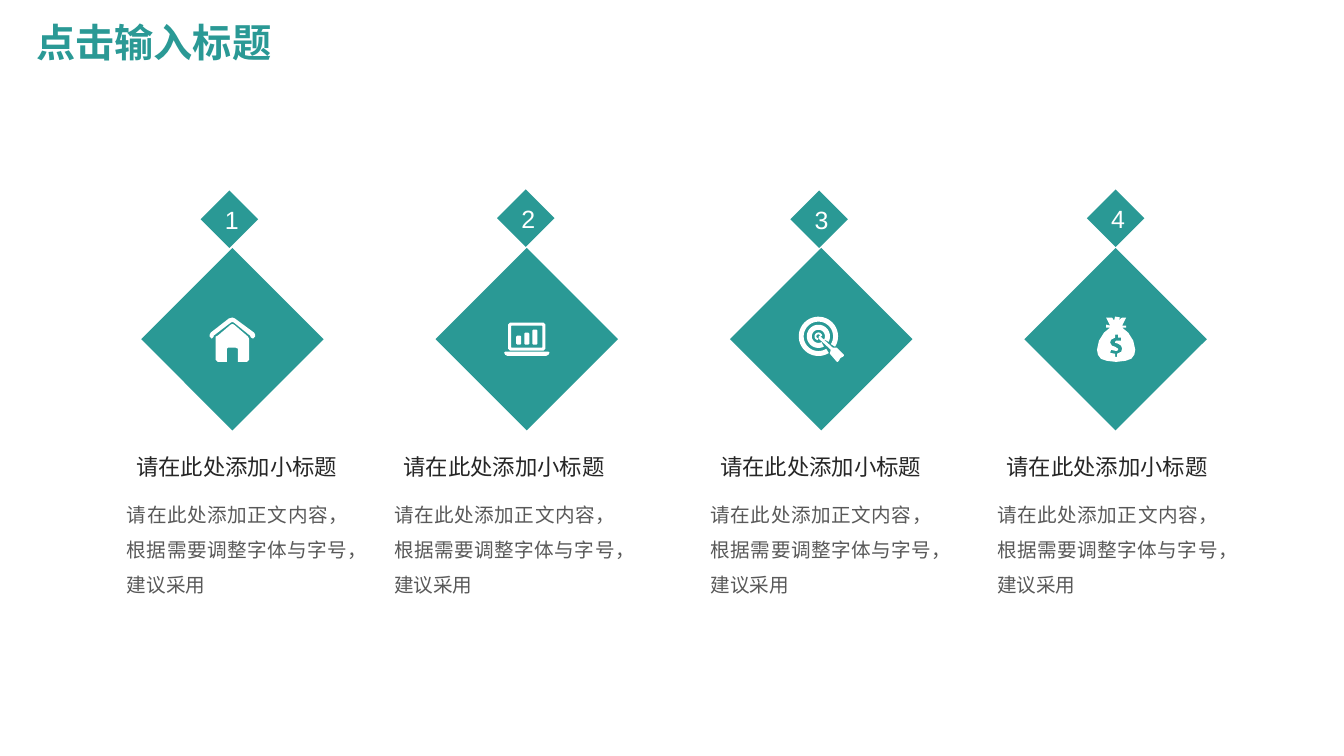
"""Build a slide of four numbered diamonds with icons, headings and body text."""
import math

import pptx
import pptx.dml.color
import pptx.enum.shapes
import pptx.enum.text
import pptx.util

Inches = pptx.util.Inches
Align = pptx.enum.text.PP_ALIGN
Anchor = pptx.enum.text.MSO_ANCHOR
DIAMOND = pptx.enum.shapes.MSO_SHAPE.DIAMOND

TEAL, WHITE = "2A9995", "FFFFFF"
TITLE = "点击输入标题"
HEADING = "请在此处添加小标题"
BODY = "请在此处添加正文内容，根据需要调整字体与字号，建议采用"

TITLE_STYLE = {"size": 28, "color": TEAL, "bold": True}
NUMBER_STYLE = {"size": 17.8, "color": WHITE}
HEADING_STYLE = {"size": 16, "color": "262626"}
BODY_STYLE = {"size": 14, "color": "595959"}


def rectangle(left, top, right, bottom, cut=1):
    """Return a rectangle outline with cut corners."""
    return [(left + cut, top), (right - cut, top), (right, top + cut),
            (right, bottom - cut), (right - cut, bottom), (left + cut, bottom),
            (left, bottom - cut), (left, top + cut)]


def open_ring(outer, inner, start, end, center=19.7, steps=40):
    """Return the outline of a ring with a gap."""
    angles = [math.radians(start + (end - start) * i / steps) for i in range(steps + 1)]
    sides = [(outer, a) for a in angles] + [(inner, a) for a in reversed(angles)]
    return [(center + r * math.cos(a), center + r * math.sin(a)) for r, a in sides]


HOUSE = [
    [(6, 20), (8, 19), (21, 8), (22.5, 7.5), (24, 8), (38, 20), (39, 22), (39, 43),
     (37, 45), (28, 45), (28, 32), (26, 31), (18, 31), (17, 32), (17, 45), (8, 45), (6, 43)],
    [(0, 18), (1, 16), (19, 2), (22.5, 1), (25, 2), (44, 16), (45, 18), (45, 20), (43, 22),
     (41, 21), (40, 19), (24, 6), (22.5, 5.5), (21, 6), (4, 19), (4, 20), (2, 22), (0, 20)],
]
LAPTOP = [
    [(0, 36), (1, 35), (44, 35), (45, 36), (44, 38), (42, 39), (3, 39), (1, 38)],
    rectangle(4, 6, 41, 34, 2),
    rectangle(7, 9, 38, 31, 0.5),
    rectangle(12, 19, 17, 28),
    rectangle(20, 16, 25, 28),
    rectangle(28, 13, 33, 28),
]
TARGET = [
    open_ring(19.5, 14.6, 58, 392),
    open_ring(11.5, 6.5, 62, 388),
    open_ring(3.8, 2, 95, 355),
    [(20, 20), (21, 19), (22, 20), (34, 31), (38, 31), (39, 32), (45, 38), (45, 39),
     (44, 40), (42, 41), (41, 42), (40, 44), (39, 45), (38, 45), (32, 38), (31, 37),
     (32, 33), (20, 22)],
]
MONEY_BAG = [
    [(18, 0), (23, 1), (21, 4), (25, 1), (29, 1), (25, 9), (29, 9), (29, 11), (25, 11),
     (31, 16), (36, 24), (38, 33), (37, 38), (34, 42), (28, 44), (19, 45), (10, 44),
     (4, 42), (1, 38), (0, 33), (2, 24), (7, 16), (13, 11), (9, 11), (9, 8), (13, 9),
     (9, 1), (15, 1), (17, 4)],
    [(18, 18), (18, 21), (14, 23), (13, 26), (15, 29), (18, 30), (21, 32), (21, 33),
     (20, 34), (18, 34), (14, 33), (13, 36), (18, 37), (18, 40), (20, 40), (20, 37),
     (24, 35), (25, 32), (24, 29), (21, 27), (18, 26), (18, 25), (19, 24), (20, 24),
     (24, 24), (24, 21), (21, 21), (21, 18)],
]

COLUMNS = [
    {"icon": HOUSE, "inset": 0.68, "number_at": (1.99, 1.89), "text_left": 1.03},
    {"icon": LAPTOP, "inset": 0.68, "number_at": (4.93, 1.88), "text_left": 3.68},
    {"icon": TARGET, "inset": 0.68, "number_at": (7.84, 1.89), "text_left": 6.82},
    {"icon": MONEY_BAG, "inset": 0.72, "number_at": (10.78, 1.88), "text_left": 9.66},
]
FIRST_LEFT, PITCH = 1.4, 2.92


def rgb(color):
    return pptx.dml.color.RGBColor.from_string(color)


def paint(shape, color):
    shape.shadow.inherit = False
    shape.fill.solid()
    shape.fill.fore_color.rgb = rgb(color)
    shape.line.fill.background()


def write(shape, words, style, align, spacing=None):
    para = shape.text_frame.paragraphs[0]
    para.alignment = align
    para.line_spacing = spacing
    span = para.add_run()
    span.text = words
    values = {"name": "Arial", "size": pptx.util.Pt(style["size"]),
              "bold": style.get("bold", False)}
    for key, value in values.items():
        setattr(span.font, key, value)
    span.font.color.rgb = rgb(style["color"])


def add_diamond(page, left, top, side):
    diamond = page.shapes.add_shape(DIAMOND, *map(Inches, (left, top, side, side)))
    paint(diamond, TEAL)
    return diamond


def add_icon(page, outlines, left, top):
    fine = [[(x * 100, y * 100) for x, y in outline] for outline in outlines]
    builder = page.shapes.build_freeform(*fine[0][0], scale=Inches(0.01) / 100)
    for index, outline in enumerate(fine):
        if index:
            builder.move_to(*outline[0])
        builder.add_line_segments(outline[1:], close=True)
    paint(builder.convert_to_shape(Inches(left), Inches(top)), WHITE)


def add_text(page, place, words, style, align, spacing=None):
    box = page.shapes.add_textbox(*map(Inches, place))
    box.text_frame.word_wrap = True
    write(box, words, style, align, spacing)


def main():
    deck = pptx.Presentation()
    deck.slide_width, deck.slide_height = Inches(13.33), Inches(7.5)
    page = deck.slides.add_slide(deck.slide_layouts[5])

    title = page.shapes.title
    title.left, title.top, title.width, title.height = map(Inches, (0.26, 0.13, 2.56, 0.57))
    frame_format = {"word_wrap": False, "vertical_anchor": Anchor.TOP,
                    "auto_size": pptx.enum.text.MSO_AUTO_SIZE.NONE}
    for key, value in frame_format.items():
        setattr(title.text_frame, key, value)
    write(title, TITLE, TITLE_STYLE, Align.LEFT)

    for index, column in enumerate(COLUMNS):
        left = FIRST_LEFT + index * PITCH
        add_diamond(page, left, 2.46, 1.81)
        badge = add_diamond(page, *column["number_at"], 0.57)
        badge.text_frame.vertical_anchor = Anchor.MIDDLE
        write(badge, str(index + 1), NUMBER_STYLE, Align.CENTER)
        add_icon(page, column["icon"], left + column["inset"], 3.14)
        text_left = column["text_left"]
        add_text(page, (text_left, 4.45, 2.64, 0.37), HEADING, HEADING_STYLE, Align.CENTER)
        add_text(page, (text_left + 0.13, 4.82, 2.39, 1.12), BODY, BODY_STYLE,
                 Align.JUSTIFY, 1.5)

    deck.save("out.pptx")


if __name__ == "__main__":
    main()
